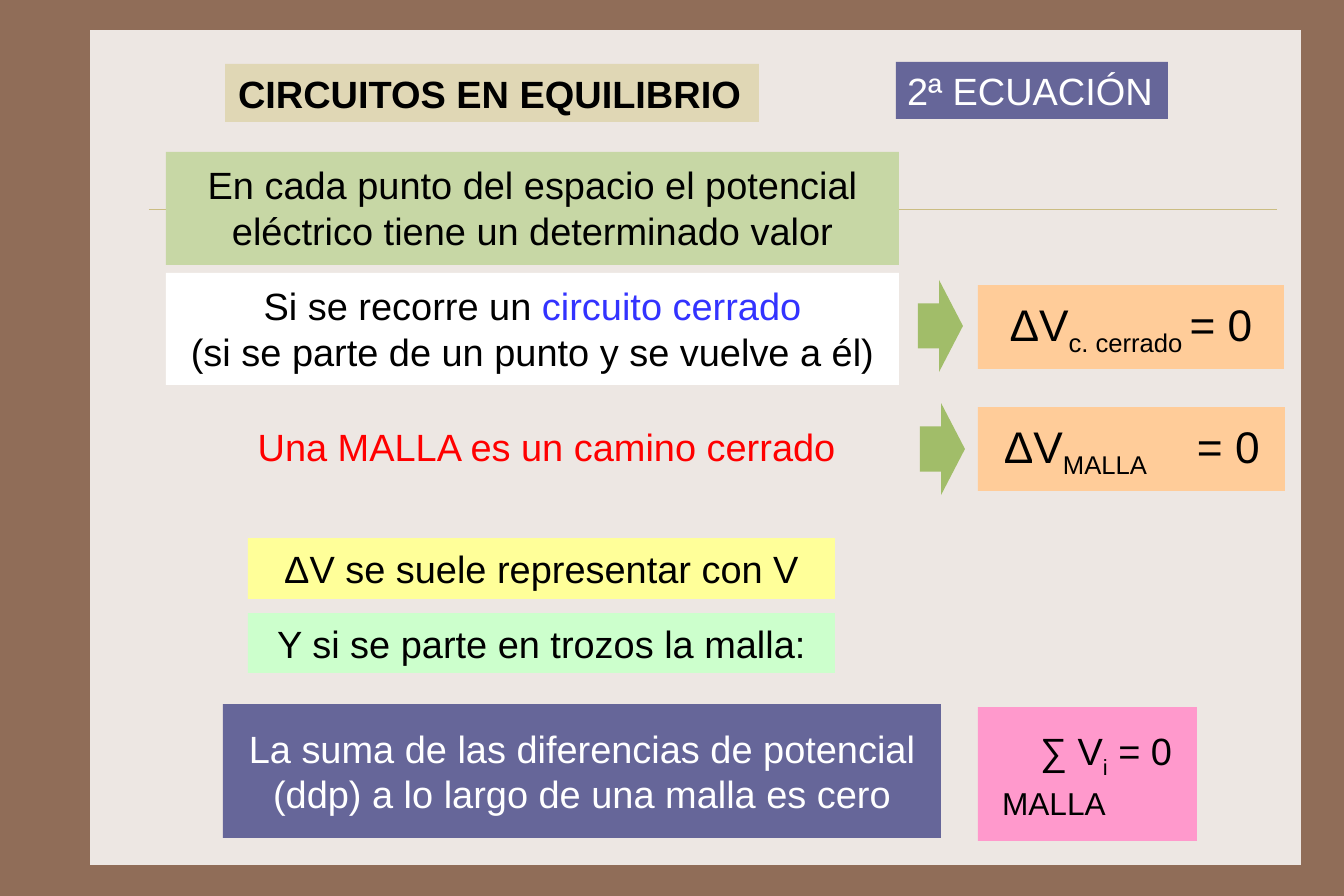
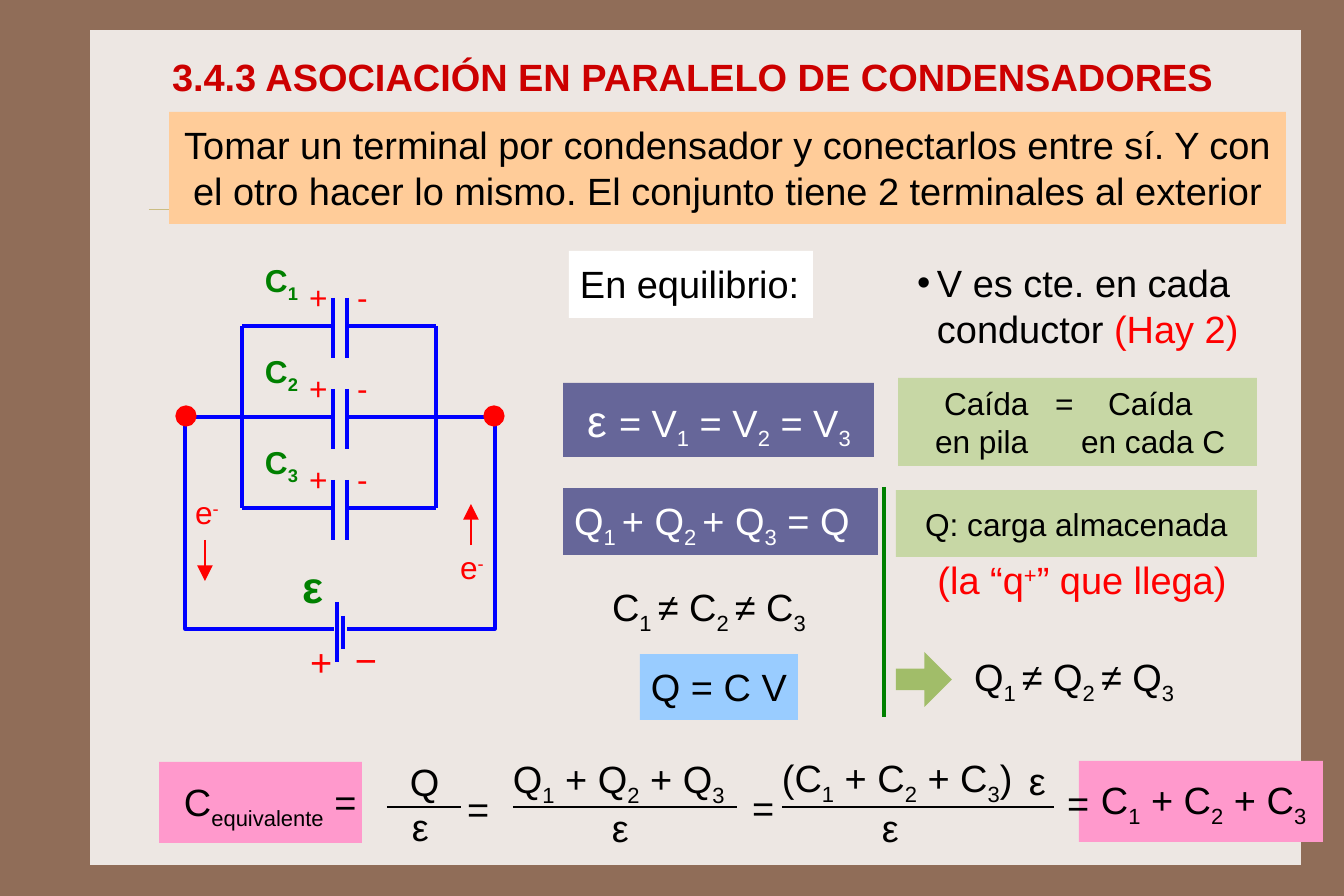
import pptx
import pptx.util
import pptx.dml.color
import pptx.enum.shapes
import pptx.enum.text
import pptx.oxml
import pptx.oxml.ns

PX = 8035  # EMU in one px
WIDTH, HEIGHT = 1344, 896
FONT = "Arial"
INSET = (11, 10, 11, 10)

COLOURS = {
    "frame": "906D58", "panel": "EDE7E3", "rule": "CBBD83",
    "black": "000000", "white": "FFFFFF", "red": "FF0000", "title red": "CC0000",
    "blue": "3333FF", "wire": "0000FF", "green": "008000", "arrow": "A1BD69",
    "sand": "E0D7B5", "slate": "666699", "olive": "C7D7A5", "orange": "FFCC99",
    "yellow": "FFFF99", "mint": "CCFFCC", "pink": "FF99CC", "sky": "99CCFF",
}
ALIGN = {"left": pptx.enum.text.PP_ALIGN.LEFT, "center": pptx.enum.text.PP_ALIGN.CENTER}
ANCHOR = {"top": pptx.enum.text.MSO_ANCHOR.TOP, "middle": pptx.enum.text.MSO_ANCHOR.MIDDLE}
SHAPES = pptx.enum.shapes.MSO_SHAPE

# Content. A paragraph is a string or a list of (text, colour, size) spans;
# ~text~ is a subscript and ~^text~ a superscript.
CENTRED = {"align": "center"}
MIDDLE = {"align": "center", "anchor": "middle"}
SLATE = {"fill": "slate", "colour": "white"}

MESH_TITLE = "CIRCUITOS EN EQUILIBRIO"
MESH_TEXTS = [
    ((896, 62, 272, 57), ["2ª ECUACIÓN"], dict(SLATE, inset=(11, 6, 11, 6))),
    ((166, 152, 733, 113),
     ["En cada punto del espacio el potencial eléctrico tiene un determinado valor"],
     dict(CENTRED, fill="olive")),
    ((166, 273, 733, 112),
     [[("Si se recorre un ", "black", 24), ("circuito cerrado", "blue", 24)],
      "(si se parte de un punto y se vuelve a él)"], dict(CENTRED, fill="white")),
    ((244, 414, 605, 67), ["Una MALLA es un camino cerrado"], dict(CENTRED, colour="red")),
    ((248, 538, 587, 61), ["ΔV se suele representar con V"], dict(MIDDLE, fill="yellow")),
    ((248, 613, 587, 60), ["Y si se parte en trozos la malla:"], dict(MIDDLE, fill="mint")),
    ((223, 704, 718, 134),
     ["La suma de las diferencias de potencial (ddp) a lo largo de una malla es cero"],
     dict(MIDDLE, **SLATE)),
    ((978, 285, 306, 84), ["ΔV~c. cerrado ~= 0"], dict(MIDDLE, fill="orange", size=28)),
    ((978, 407, 307, 84), ["ΔV~MALLA~\t= 0"],
     {"fill": "orange", "size": 28, "anchor": "middle", "inset": (26, 10, 11, 10),
      "tabs": [(193,)]}),
    ((978, 707, 219, 134), [], {"fill": "pink"}),
    ((1029, 718, 178, 74), ["∑ V~i~ = 0"], {}),
    ((991, 774, 130, 51), ["MALLA"], {"size": 20}),
]
MESH_ARROWS = [(918, 280, 45, 92), (920, 403, 45, 92)]

PARALLEL_TITLE = "3.4.3 ASOCIACIÓN EN PARALELO DE CONDENSADORES"
PARALLEL_BULLET = [("V es cte. en cada conductor ", "black", 24), ("(Hay 2)", "red", 24)]
PARALLEL_TEXTS = [
    ((169, 112, 1117, 112),
     ["Tomar un terminal por condensador y conectarlos entre sí. Y con el otro hacer lo "
      "mismo. El conjunto tiene 2 terminales al exterior"], dict(CENTRED, fill="orange")),
    ((569, 251, 244, 67), ["En equilibrio:"], {"fill": "white"}),
    ((563, 383, 311, 74), [[("ε ", "white", 28), ("= V~1~ = V~2~ = V~3~", "white", 24)]],
     dict(SLATE, inset=(24, 10, 11, 10))),
    ((563, 488, 315, 67), ["Q~1 ~+ Q~2 ~+ Q~3~ = Q"], SLATE),
    ((601, 574, 230, 66), ["C~1 ~≠ C~2 ~≠ C~3~"], {}),
    ((640, 654, 158, 66), ["Q = C V"], {"fill": "sky"}),
    ((898, 378, 359, 88), ["\tCaída\t=\tCaída", "\ten pila\ten cada C"],
     {"fill": "olive", "size": 20, "inset": (11, 6, 0, 6), "tabs": [(35, 146, 199), (26, 172)]}),
    ((896, 490, 361, 67), ["Q: carga almacenada"], dict(MIDDLE, fill="olive", size=20)),
    ((908, 551, 348, 57), ["(la “q~^+~” que llega)"],
     dict(CENTRED, colour="red", inset=(11, 6, 11, 6))),
    ((963, 644, 237, 66), ["Q~1 ~≠ Q~2 ~≠ Q~3~"], {}),
    # Equivalent capacitance, from left to right
    ((159, 762, 203, 81), [], {"fill": "pink"}),
    ((1079, 761, 244, 81), [], {"fill": "pink"}),
    ((173, 769, 214, 67), ["C~equivalente~ ="], {}),
    ((399, 749, 56, 67), ["Q"], {}),
    ((401, 794, 44, 67), ["ε"], {}),
    ((456, 776, 48, 67), ["="], {}),
    ((502, 746, 250, 67), ["Q~1~ + Q~2~ + Q~3~"], {}),
    ((601, 795, 44, 67), ["ε"], {}),
    ((741, 775, 48, 67), ["="], {}),
    ((771, 745, 268, 67), ["(C~1~ + C~2~ + C~3~)"], {}),
    ((1018, 748, 44, 67), ["ε"], {}),
    ((871, 795, 44, 67), ["ε"], {}),
    ((1056, 770, 48, 67), ["="], {}),
    ((1090, 767, 250, 67), ["C~1~ + C~2~ + C~3~"], {}),
    # Battery and electron labels
    ((291, 563, 46, 46), [[("ε", "green", 28)]],
     {"anchor": "middle", "bold": True, "inset": (11, 6, 11, 6)}),
    ((299, 629, 50, 67), ["+"], {"colour": "red"}),
    ((344, 627, 50, 67), ["−"], {"colour": "red"}),
    ((184, 483, 54, 66), ["e~^-~"], {"colour": "red", "size": 20}),
    ((449, 538, 54, 66), ["e~^-~"], {"colour": "red", "size": 20}),
]
FRACTION_BARS = [(387, 461), (513, 737), (782, 1054)]
FRACTION_Y = 807

# Circuit geometry
CAPACITOR_TOP, CAPACITOR_PITCH = 326, 91
PLATES = (333, 347)
INNER_RAILS, TERMINALS = (242, 436), (186, 494)
BATTERY_PLATES = [(337, 602, 662), (343, 616, 649)]
BATTERY_LOOPS = [[(185, 410), (185, 629), (334, 629)], [(495, 410), (495, 629), (347, 629)]]
ELECTRON_ARROWS = [(205, 540, 581), (471, 545, 504)]


def rgb(name):
    return pptx.dml.color.RGBColor.from_string(COLOURS[name])


def emu(frame):
    return [value * PX for value in frame]


def add_runs(paragraph, content, colour, size, bold):
    spans = [(content, colour, size)] if isinstance(content, str) else content
    for text, span_colour, span_size in spans:
        for index, piece in enumerate(text.split("~")):
            if not piece:
                continue
            run = paragraph.add_run()
            run.text = piece.lstrip("^")
            run.font.name = FONT
            run.font.size = pptx.util.Pt(span_size)
            run.font.bold = bold
            run.font.color.rgb = rgb(span_colour)
            if index % 2:
                baseline = "30000" if piece.startswith("^") else "-25000"
                run._r.get_or_add_rPr().set("baseline", baseline)


def add_tabs(paragraph, stops):
    properties = paragraph._p.get_or_add_pPr()
    tab_list = pptx.oxml.parse_xml(
        '<a:tabLst %s>%s</a:tabLst>' % (
            pptx.oxml.ns.nsdecls("a"),
            "".join('<a:tab pos="%d" algn="l"/>' % (stop * PX) for stop in stops)))
    properties.append(tab_list)


def write(shape, paragraphs, colour="black", size=24, bold=False, align="left",
          anchor="top", inset=INSET, tabs=()):
    frame = shape.text_frame
    frame.word_wrap = True
    frame.auto_size = pptx.enum.text.MSO_AUTO_SIZE.NONE
    frame.vertical_anchor = ANCHOR[anchor]
    frame.margin_left, frame.margin_top, frame.margin_right, frame.margin_bottom = emu(inset)
    for index, content in enumerate(paragraphs):
        paragraph = frame.add_paragraph() if index else frame.paragraphs[0]
        if tabs:
            add_tabs(paragraph, tabs[index])
        paragraph.alignment = ALIGN[align]
        paragraph.space_before = pptx.util.Pt(0)
        add_runs(paragraph, content, colour, size, bold)


def add_filled(slide, kind, frame, fill, line=None):
    shape = slide.shapes.add_shape(kind, *emu(frame))
    shape.shadow.inherit = False
    shape.fill.solid()
    shape.fill.fore_color.rgb = rgb(fill)
    if line:
        shape.line.color.rgb = rgb(line)
        shape.line.width = pptx.util.Pt(2)
    else:
        shape.line.fill.background()
    return shape


def add_text(slide, frame, paragraphs, fill=None, **style):
    if fill:
        shape = add_filled(slide, SHAPES.RECTANGLE, frame, fill)
    else:
        shape = slide.shapes.add_textbox(*emu(frame))
    write(shape, paragraphs, **style)


def add_line(slide, start, end, colour="wire", width=2, arrow=False):
    line = slide.shapes.add_connector(
        pptx.enum.shapes.MSO_CONNECTOR.STRAIGHT, *emu(start + end))
    line.line.color.rgb = rgb(colour)
    line.line.width = pptx.util.Pt(width)
    namespace = pptx.oxml.ns.nsdecls("a")
    if arrow:
        line.line._get_or_add_ln().append(pptx.oxml.parse_xml(
            '<a:tailEnd %s type="triangle" w="lg" len="lg"/>' % namespace))
    line.element.spPr.append(pptx.oxml.parse_xml('<a:effectLst %s/>' % namespace))
    return line


def add_block_arrow(slide, frame, adjustments):
    arrow = add_filled(slide, SHAPES.RIGHT_ARROW, frame, "arrow")
    arrow.adjustments[0], arrow.adjustments[1] = adjustments


def place(shape, frame):
    shape.left, shape.top, shape.width, shape.height = emu(frame)


def set_title(slide, text, frame, colour="black", fill=None):
    title = slide.shapes.title
    place(title, frame)
    if fill:
        title.fill.solid()
        title.fill.fore_color.rgb = rgb(fill)
    write(title, [text], colour=colour, bold=True, anchor="middle", inset=(13, 6, 6, 6))


def style_master(presentation, slide):
    """Background, panel and rule shared by all slides, moved to the master."""
    master = presentation.slide_master
    master.background.fill.solid()
    master.background.fill.fore_color.rgb = rgb("frame")
    panel = add_filled(slide, SHAPES.RECTANGLE, (90, 30, 1211, 835), "panel")
    rule = add_line(slide, (149, 209), (1277, 209), "rule", 0.25)
    for index, shape in enumerate((panel, rule)):
        shape.element.xpath(".//p:cNvPr")[0].set("id", str(101 + index))
        master.shapes.element.insert(2 + index, shape.element)


def build_mesh(slide):
    set_title(slide, MESH_TITLE, (225, 64, 534, 58), fill="sand")
    for frame, paragraphs, style in MESH_TEXTS:
        add_text(slide, frame, paragraphs, **style)
    for frame in MESH_ARROWS:
        add_block_arrow(slide, frame, (0.49, 0.53))


def build_circuit(slide):
    rows = [CAPACITOR_TOP + CAPACITOR_PITCH * index for index in range(3)]
    for index, y in enumerate(rows):
        # The middle row reaches the terminals, the others the inner rails
        ends = TERMINALS if index == 1 else INNER_RAILS
        for plate, end in zip(PLATES, ends):
            add_line(slide, (plate, y - 28), (plate, y + 32))
            add_line(slide, (plate, y), (end, y))
        add_text(slide, (254, y - 75, 63, 65), ["C~%d~" % (index + 1)],
                 colour="green", size=20, bold=True)
        for left, sign in ((298, "+"), (346, "-")):
            add_text(slide, (left, y - 58, 42, 58), [sign], colour="red", size=20)
    for x in INNER_RAILS:
        add_line(slide, (x, rows[0]), (x, rows[-1]))
    for points in BATTERY_LOOPS:
        builder = slide.shapes.build_freeform(*points[0], scale=PX)
        builder.add_line_segments(points[1:], close=False)
        loop = builder.convert_to_shape()
        loop.shadow.inherit = False
        loop.fill.background()
        loop.line.color.rgb = rgb("wire")
        loop.line.width = pptx.util.Pt(2)
    for x, top, bottom in BATTERY_PLATES:
        add_line(slide, (x, top), (x, bottom))
    for x in TERMINALS:
        add_filled(slide, SHAPES.OVAL, (x - 9, rows[1] - 10, 18, 18), "red", "red")
    for x, start, end in ELECTRON_ARROWS:
        add_line(slide, (x, start), (x, end), "red", 1, arrow=True)


def build_parallel(slide):
    set_title(slide, PARALLEL_TITLE, (159, 47, 1077, 58), colour="title red")
    body = slide.placeholders[1]
    place(body, (896, 250, 361, 113))
    write(body, [PARALLEL_BULLET], inset=(21, 10, 11, 10))
    properties = body.text_frame.paragraphs[0]._p.get_or_add_pPr()
    properties.set("marL", str(20 * PX))
    properties.set("indent", str(-20 * PX))
    build_circuit(slide)
    for frame, paragraphs, style in PARALLEL_TEXTS:
        add_text(slide, frame, paragraphs, **style)
    for start, end in FRACTION_BARS:
        add_line(slide, (start, FRACTION_Y), (end, FRACTION_Y), "black", 1)
    add_block_arrow(slide, (896, 652, 56, 55), (0.39, 0.5))
    add_line(slide, (884, 487), (884, 717), "green", 3)


def main():
    presentation = pptx.Presentation()
    presentation.slide_width, presentation.slide_height = emu((WIDTH, HEIGHT))
    content_layout, title_layout = presentation.slide_layouts[1], presentation.slide_layouts[5]
    mesh_slide = presentation.slides.add_slide(title_layout)
    style_master(presentation, mesh_slide)
    build_mesh(mesh_slide)
    build_parallel(presentation.slides.add_slide(content_layout))
    presentation.save("out.pptx")


if __name__ == "__main__":
    main()
